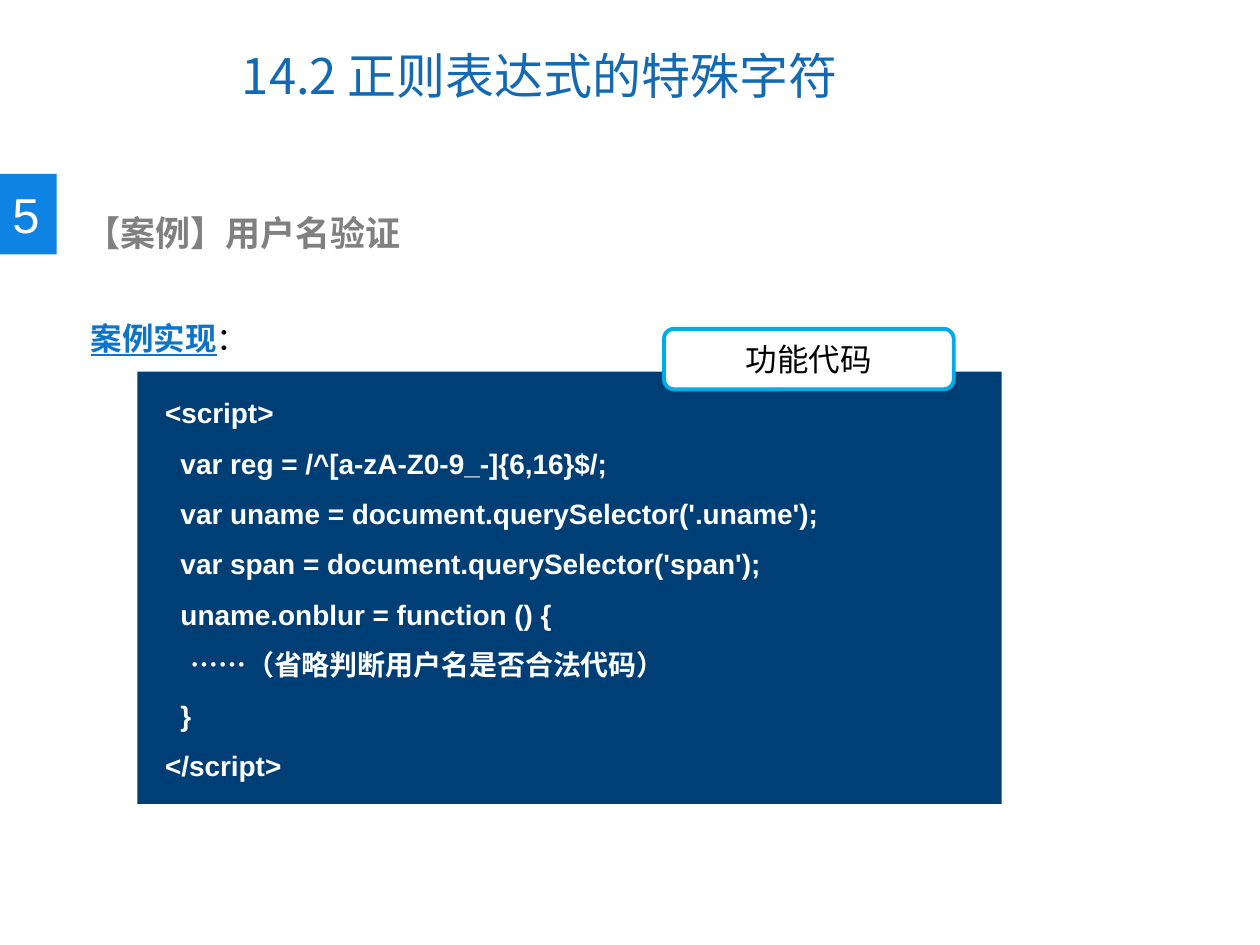
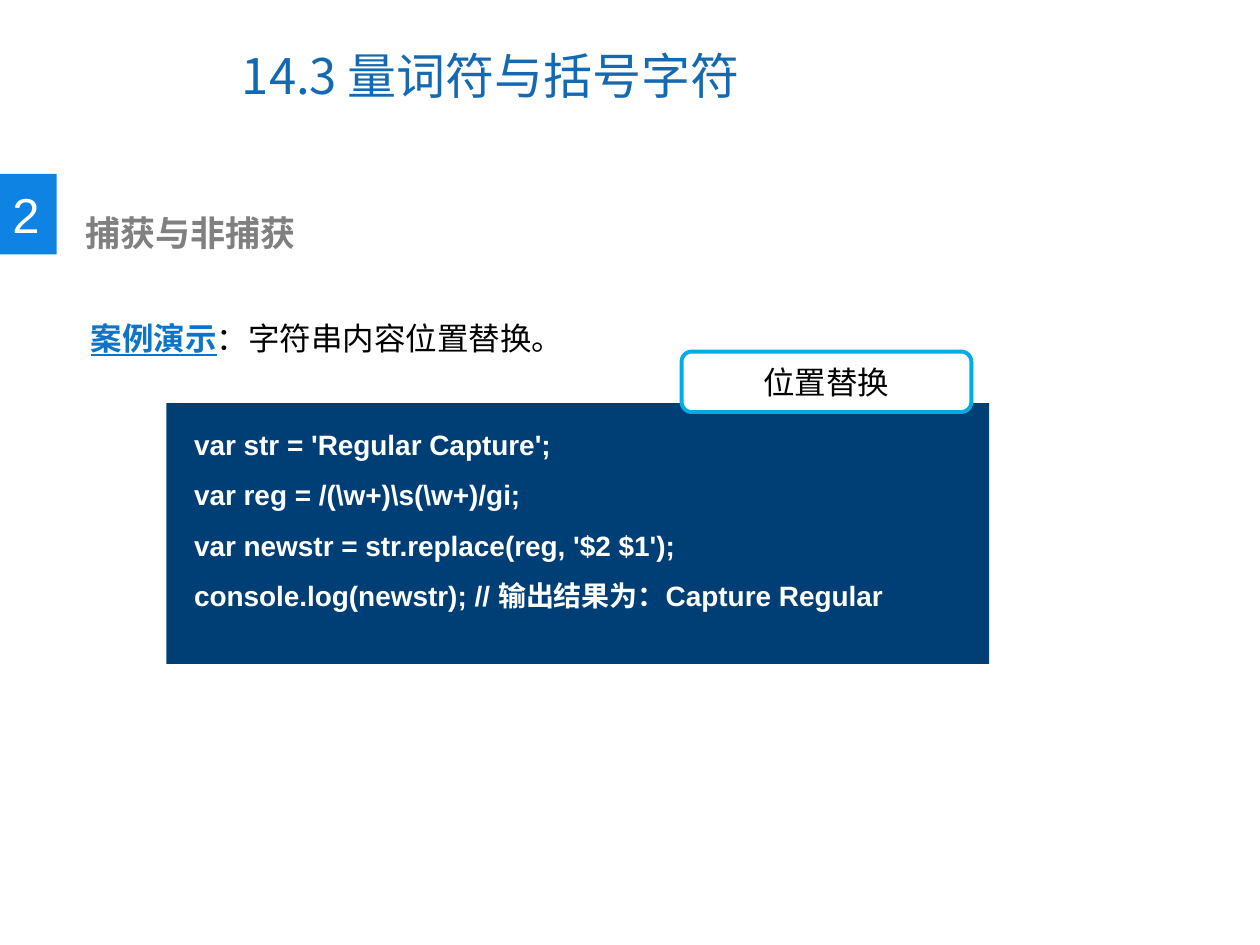
"""Build two lesson slides on regular expressions, each with a code panel."""
from pptx import Presentation, util as u
from pptx.dml.color import RGBColor
from pptx.enum import shapes, text
from pptx.oxml.ns import qn

SLIDES = [
    dict(
        title=("14.2 ", "正则表达式的特殊字符"),
        number="5",
        heading="【案例】用户名验证",
        lead=("案例实现", "："),
        label="功能代码",
        label_at=(5.27, 2.61),
        panel=(1.09, 2.95, 6.86, 3.43),
        code=[
            "<script>",
            "  var reg = /^[a-zA-Z0-9_-]{6,16}$/;",
            "  var uname = document.querySelector('.uname');",
            "  var span = document.querySelector('span');",
            "  uname.onblur = function () {",
            "    ……（省略判断用户名是否合法代码）",
            "  }",
            "</script>",
        ],
    ),
    dict(
        title=("14.3 ", "量词符与括号字符"),
        number="2",
        heading="捕获与非捕获",
        lead=("案例演示", "：字符串内容位置替换。"),
        label="位置替换",
        label_at=(5.41, 2.79),
        panel=(1.32, 3.2, 6.53, 2.07),
        code=[
            "var str = 'Regular Capture';",
            r"var reg = /(\w+)\s(\w+)/gi;",
            "var newstr = str.replace(reg, '$2 $1');",
            "console.log(newstr); // 输出结果为：Capture Regular",
        ],
    ),
]

WIDTH, HEIGHT = 10, 7.5
LATIN, CJK = "Arial", "Noto Sans CJK SC"
BLACK, WHITE, GREY = "000000", "FFFFFF", "808080"
TITLE_BLUE, BADGE_BLUE, LEAD_BLUE = "1369B2", "0F83E3", "0D74C9"
NAVY, CYAN = "003F75", "00ACE6"
TITLE_AT = (1.82, 0.17, 5.16, 0.85)
BADGE_AT = (0, 1.38, 0.45, 0.64)
HEADING_AT = (0.58, 1.63, 5.03, 0.44)
LEAD_AT = (0.62, 2.18, 8.65, 0.61)
LABEL_SIZE = (2.3, 0.48)
LEFT, CENTER = text.PP_ALIGN.LEFT, text.PP_ALIGN.CENTER
TOP, MIDDLE = text.MSO_ANCHOR.TOP, text.MSO_ANCHOR.MIDDLE


def rgb(value):
    """Turn a hex string into a colour."""
    return RGBColor.from_string(value)


def inches(at):
    """Turn a tuple of inches into lengths."""
    return [u.Inches(v) for v in at]


def add_run(p, content, size=18, color=BLACK, bold=False, underline=False, font=LATIN):
    """Add a run with its Latin and East Asian fonts."""
    r = p.add_run()
    r.text = content
    r.font.size = u.Pt(size)
    r.font.bold = bold
    r.font.underline = underline
    r.font.color.rgb = rgb(color)
    r.font.name = font
    ea = r.font._element.makeelement(qn("a:ea"), {"typeface": CJK})
    r.font._element.find(qn("a:latin")).addnext(ea)


def write(sp, paragraphs, align=LEFT, anchor=TOP, spacing=None, inset=(0.1, 0.05), **style):
    """Fill a shape with paragraphs, each a list of (text, format) runs."""
    tf = sp.text_frame
    tf.word_wrap = True
    tf.vertical_anchor = anchor
    tf.margin_left, tf.margin_top = inches(inset)
    for i, runs in enumerate(paragraphs):
        p = tf.add_paragraph() if i else tf.paragraphs[0]
        p.alignment = align
        if spacing:
            p.line_spacing = spacing
        for content, own in runs:
            add_run(p, content, **{**style, **own})


def add_box(s, at, fill, line=None, kind=shapes.MSO_SHAPE.RECTANGLE):
    """Add a flat filled shape, outlined if a line colour is given."""
    sp = s.shapes.add_shape(kind, *inches(at))
    sp.shadow.inherit = False
    sp.fill.solid()
    sp.fill.fore_color.rgb = rgb(fill)
    if line:
        sp.line.color.rgb = rgb(line)
        sp.line.width = u.Pt(2.25)
    else:
        sp.line.fill.background()
    return sp


def build_slide(prs, data):
    """Add one lesson slide."""
    s = prs.slides.add_slide(prs.slide_layouts[5])

    title = s.shapes.title
    title.left, title.top, title.width, title.height = inches(TITLE_AT)
    section, topic = data["title"]
    write(title, [[(section, {"font": CJK}), (topic, {})]],
          anchor=MIDDLE, size=28, color=TITLE_BLUE)

    badge = add_box(s, BADGE_AT, BADGE_BLUE)
    write(badge, [[(data["number"], {})]], anchor=MIDDLE, size=28, color=WHITE)

    heading = s.shapes.add_textbox(*inches(HEADING_AT))
    write(heading, [[(data["heading"], {})]], size=20, color=GREY, bold=True)

    lead = s.shapes.add_textbox(*inches(LEAD_AT))
    term, rest = data["lead"]
    term_style = dict(color=LEAD_BLUE, bold=True, underline=True)
    write(lead, [[(term, term_style), (rest, {})]], spacing=2.0)

    panel = add_box(s, data["panel"], NAVY)
    write(panel, [[(line, {})] for line in data["code"]],
          spacing=1.5, inset=(0.22, 0.06), size=16, color=WHITE, bold=True)

    label = add_box(s, data["label_at"] + LABEL_SIZE, WHITE, CYAN,
                    shapes.MSO_SHAPE.ROUNDED_RECTANGLE)
    write(label, [[(data["label"], {})]], align=CENTER, anchor=MIDDLE)


def main():
    """Build and save the presentation."""
    prs = Presentation()
    prs.slide_width, prs.slide_height = inches((WIDTH, HEIGHT))
    for data in SLIDES:
        build_slide(prs, data)
    prs.save("out.pptx")


if __name__ == "__main__":
    main()
